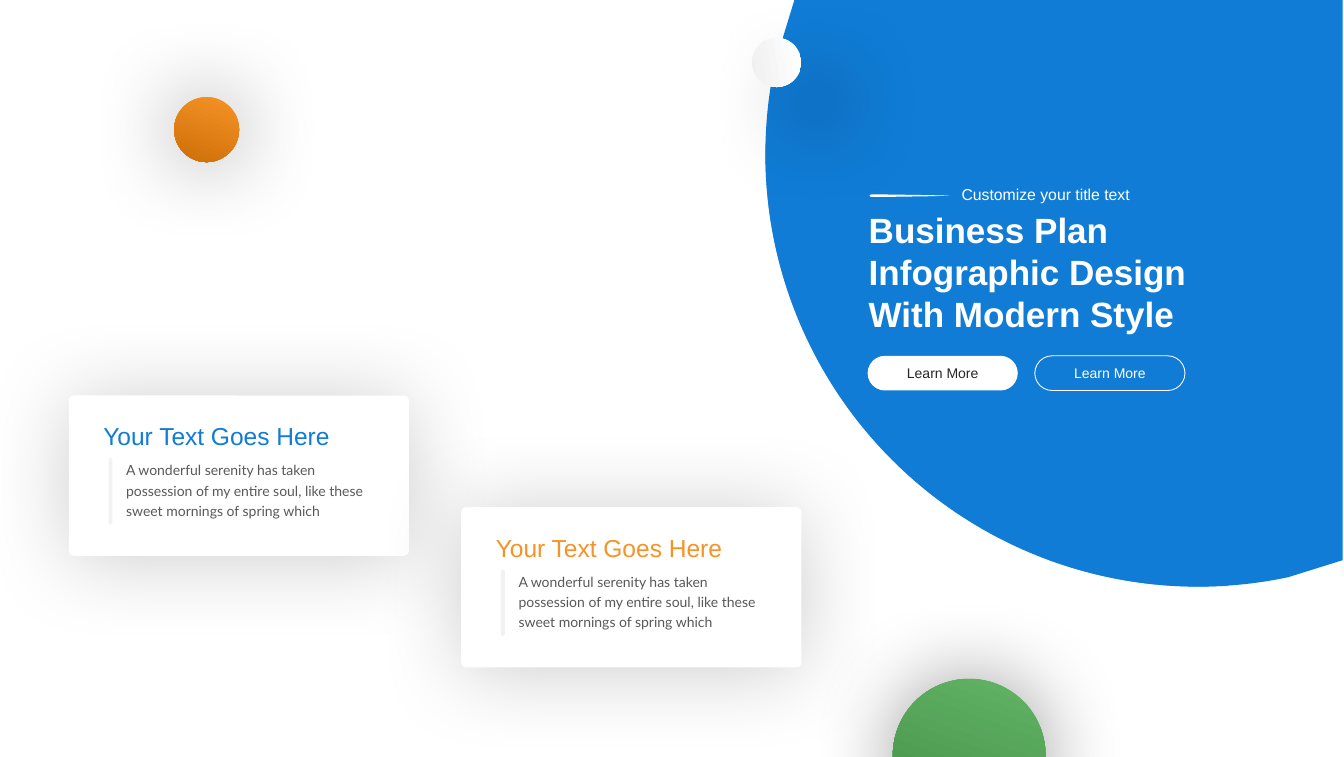
import math

import lxml.etree
import pptx
import pptx.dml.color
import pptx.enum.shapes
import pptx.enum.text
import pptx.oxml.ns
import pptx.util

Inches = pptx.util.Inches
Pt = pptx.util.Pt
RGBColor = pptx.dml.color.RGBColor
SHAPES = pptx.enum.shapes.MSO_SHAPE
qn = pptx.oxml.ns.qn

WHITE = RGBColor(0xFF, 0xFF, 0xFF)
BLACK = RGBColor(0x00, 0x00, 0x00)
BLUE = RGBColor(0x10, 0x7C, 0xD6)
ORANGE = RGBColor(0xF6, 0x93, 0x26)
DARK_ORANGE = RGBColor(0xCD, 0x6F, 0x08)
GREEN = RGBColor(0x62, 0xB4, 0x66)
DARK_GREEN = RGBColor(0x43, 0x8D, 0x47)
PALE_GREY = RGBColor(0xF0, 0xF0, 0xF0)
BAR_GREY = RGBColor(0xF2, 0xF2, 0xF2)
BODY_GREY = RGBColor(0x59, 0x59, 0x59)
NEAR_BLACK = RGBColor(0x26, 0x26, 0x26)

presentation = pptx.Presentation()
presentation.slide_width = Inches(21.3)
presentation.slide_height = Inches(12)
slide = presentation.slides.add_slide(presentation.slide_layouts[6])
shapes = slide.shapes


def add_text(box, text, size, color, font="Arial", bold=False, spacing=None):
    """Add a text box that wraps; box is left, top, width, height in inches."""
    textbox = shapes.add_textbox(*map(Inches, box))
    frame = textbox.text_frame
    frame.word_wrap = True
    frame.auto_size = pptx.enum.text.MSO_AUTO_SIZE.SHAPE_TO_FIT_TEXT
    paragraph = frame.paragraphs[0]
    paragraph.line_spacing = spacing
    run = paragraph.add_run()
    run.text = text
    run.font.size = Pt(size)
    run.font.name = font
    run.font.bold = bold
    run.font.color.rgb = color


def add_shadow(shape, opacity, blur, distance, direction):
    """Give an outer shadow: opacity in percent, lengths in points, degrees."""
    shape.shadow.inherit = False
    effects = shape._element.spPr.find(qn("a:effectLst"))
    shadow = lxml.etree.SubElement(
        effects, qn("a:outerShdw"), blurRad=str(Pt(blur)), dist=str(Pt(distance)),
        dir=str(direction * 60000), algn="ctr", rotWithShape="0")
    color = lxml.etree.SubElement(shadow, qn("a:srgbClr"), val=str(BLACK))
    lxml.etree.SubElement(color, qn("a:alpha"), val=str(opacity * 1000))


# Blue disc cut by the slide corner, with a translucent quarter on top
CENTER_X, CENTER_Y, RADIUS = 18.99, 2.44, 6.86
disc_parts = [
    ([(12.59, 0), (21.28, 0), (21.28, 8.88)], 78, 192, 100),
    ([(12.15, 2.03), (19.46, 2.03), (19.46, 9.29)], 87, 180, 70),
]
for corners, first_angle, last_angle, opacity in disc_parts:
    arc = [(CENTER_X + RADIUS * math.cos(math.radians(angle)),
            CENTER_Y + RADIUS * math.sin(math.radians(angle)))
           for angle in range(first_angle, last_angle + 1)]
    outline = [(Inches(x), Inches(y)) for x, y in corners + arc]
    builder = shapes.build_freeform(*outline[0])
    builder.add_line_segments(outline[1:])
    disc = builder.convert_to_shape()
    disc.shadow.inherit = False
    disc.fill.solid()
    disc.fill.fore_color.rgb = BLUE
    disc.line.fill.background()
    if opacity < 100:
        color = disc._element.spPr.find(qn("a:solidFill"))[0]
        lxml.etree.SubElement(color, qn("a:alpha"), val=str(opacity * 1000))

# Title block
add_text((15.14, 2.88, 3.67, 0.4), "Customize your title text", 18, WHITE)

stroke_points = [(13.81, 3.08), (14.5, 3.09), (15.05, 3.1), (14.8, 3.11),
                 (14.15, 3.12), (13.8, 3.12), (13.78, 3.1)]
stroke_outline = [(Inches(x), Inches(y)) for x, y in stroke_points]
builder = shapes.build_freeform(*stroke_outline[0])
builder.add_line_segments(stroke_outline[1:])
brush_stroke = builder.convert_to_shape()
brush_stroke.shadow.inherit = False
brush_stroke.fill.solid()
brush_stroke.fill.fore_color.rgb = WHITE
brush_stroke.line.fill.background()

add_text((13.67, 3.26, 5.66, 2.12),
         "Business Plan Infographic Design With Modern Style", 40, WHITE, bold=True)

for left, filled, label_color in [(13.75, True, NEAR_BLACK), (16.4, False, WHITE)]:
    button = shapes.add_shape(SHAPES.ROUNDED_RECTANGLE, Inches(left), Inches(5.64),
                              Inches(2.38), Inches(0.55))
    button.adjustments[0] = 0.5
    button.shadow.inherit = False
    if filled:
        button.fill.solid()
        button.fill.fore_color.rgb = WHITE
        button.line.fill.background()
    else:
        button.fill.background()
        button.line.color.rgb = WHITE
        button.line.width = Pt(1)
    button.text_frame.vertical_anchor = pptx.enum.text.MSO_ANCHOR.MIDDLE
    paragraph = button.text_frame.paragraphs[0]
    paragraph.alignment = pptx.enum.text.PP_ALIGN.CENTER
    label = paragraph.add_run()
    label.text = "Learn More"
    label.font.size = Pt(16)
    label.font.name = "Arial"
    label.font.color.rgb = label_color

# Text cards
for left, top, heading_color in [(1.09, 6.27, BLUE), (7.31, 8.04, ORANGE)]:
    card = shapes.add_shape(SHAPES.ROUNDED_RECTANGLE, Inches(left), Inches(top),
                            Inches(5.39), Inches(2.54))
    card.adjustments[0] = 0.03
    card.fill.solid()
    card.fill.fore_color.rgb = WHITE
    card.line.fill.background()
    add_shadow(card, 20, 100, 4, 90)

    add_text((left + 0.45, top + 0.45, 4.04, 0.5), "Your Text Goes Here",
             28, heading_color, spacing=0.8)

    bar = shapes.add_shape(SHAPES.ROUNDED_RECTANGLE, Inches(left + 0.63),
                           Inches(top + 0.99), Inches(0.06), Inches(1.05))
    bar.adjustments[0] = 0.5
    bar.shadow.inherit = False
    bar.fill.solid()
    bar.fill.fore_color.rgb = BAR_GREY
    bar.line.fill.background()

    add_text((left + 0.81, top + 0.95, 4.12, 0.97),
             "A wonderful serenity has taken possession of my entire soul, "
             "like these sweet mornings of spring which",
             16, BODY_GREY, font="Lato", spacing=1.2)

# Shaded balls: left, top, diameter, colours, clockwise angle, shadow offset
balls = [
    (11.92, 0.6, 0.78, WHITE, PALE_GREY, 170, 64, 45),
    (14.15, 10.76, 2.42, GREEN, DARK_GREEN, 110, 0, 0),
    (2.76, 1.54, 1.03, ORANGE, DARK_ORANGE, 110, 0, 0),
]
for left, top, diameter, light, dark, angle, distance, direction in balls:
    ball = shapes.add_shape(SHAPES.OVAL, Inches(left), Inches(top),
                            Inches(diameter), Inches(diameter))
    ball.fill.gradient()
    ball.fill.gradient_angle = 360 - angle
    for stop, color in zip(ball.fill.gradient_stops, (light, dark)):
        stop.color.rgb = color
    ball.line.fill.background()
    add_shadow(ball, 40, 100, distance, direction)

presentation.save("out.pptx")
